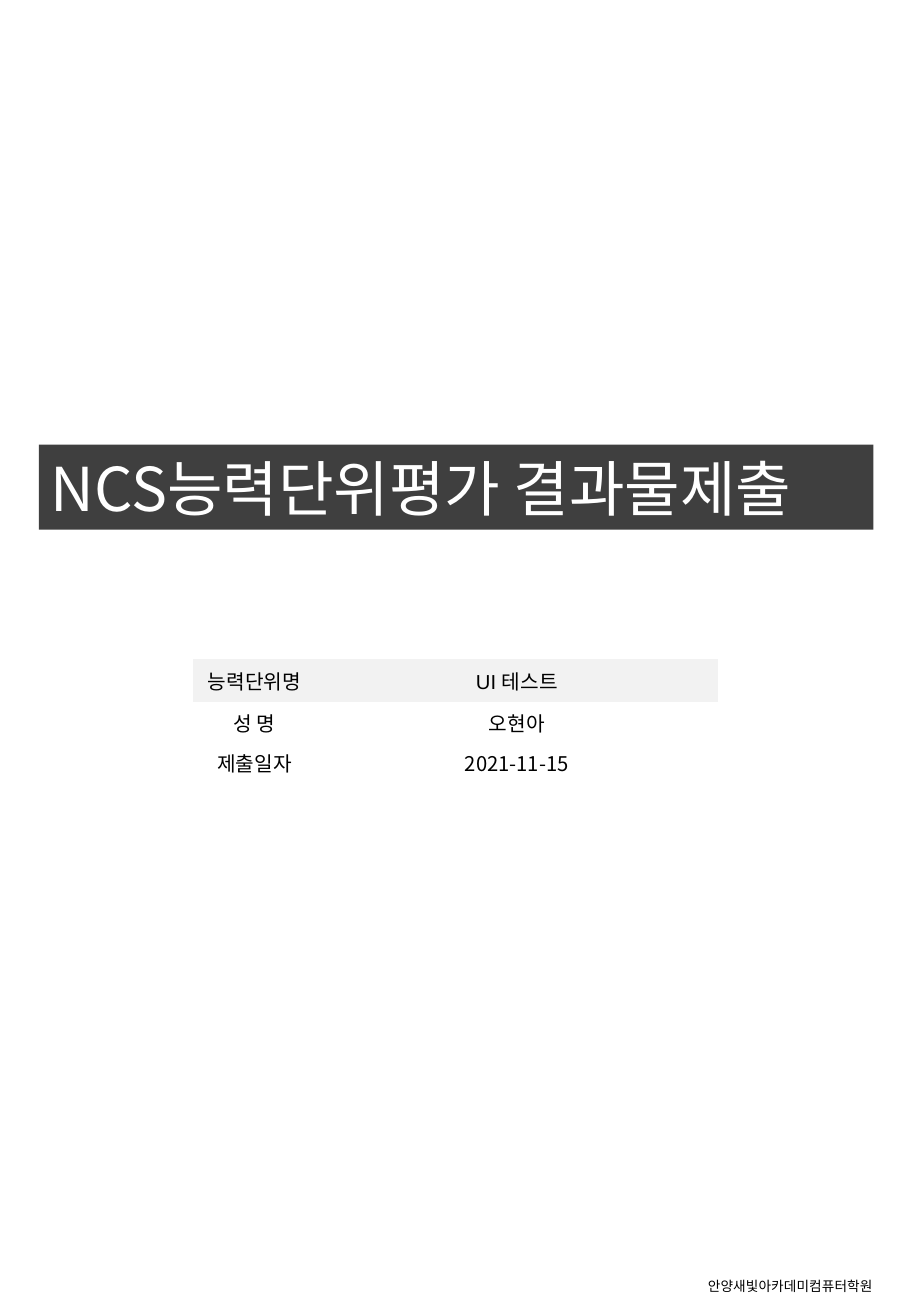
"""Build the cover page of an assessment submission."""
from lxml import etree
from pptx import Presentation
from pptx import util as u
from pptx.dml.color import RGBColor
from pptx.enum import shapes, text
from pptx.oxml.ns import qn

KOREAN = "Noto Sans CJK KR"
NO_STYLE = "{2D5ABB26-0587-4C30-8999-92F81FD0307C}"


def color(value):
    """Turn a hex string into a colour."""
    return RGBColor.from_string(value)


def write(frame, words, size, ink="000000", face=KOREAN, align=text.PP_ALIGN.LEFT):
    """Fill a text frame with one styled paragraph."""
    paragraph = frame.paragraphs[0]
    paragraph.text = words
    paragraph.alignment = align
    font = paragraph.font
    font.size = u.Pt(size)
    font.color.rgb = color(ink)
    font.name = face
    latin = paragraph._p.find(".//" + qn("a:latin"))
    east_asian = etree.Element(qn("a:ea"), typeface=KOREAN)
    latin.addnext(east_asian)


def add_title(slide, words):
    """Draw the dark title bar."""
    bar = slide.shapes.add_shape(
        shapes.MSO_SHAPE.RECTANGLE,
        u.Inches(0.32), u.Inches(3.66), u.Inches(6.87), u.Inches(0.7))
    bar.shadow.inherit = False
    bar.fill.solid()
    bar.fill.fore_color.rgb = color("3F3F3F")
    bar.line.fill.background()
    bar.text_frame.vertical_anchor = text.MSO_ANCHOR.MIDDLE
    write(bar.text_frame, words, 35.8, "FFFFFF")


def add_details(slide, rows):
    """Draw the borderless table of submission details."""
    table = slide.shapes.add_table(
        len(rows), 2,
        u.Inches(1.59), u.Inches(5.42), u.Inches(4.32), u.Inches(1.02)).table
    table.first_row = table.horz_banding = False
    table._tbl.tblPr.find(qn("a:tableStyleId")).text = NO_STYLE
    for column, width in zip(table.columns, (1.01, 3.31)):
        column.width = u.Inches(width)
    for row, (label, value) in enumerate(rows):
        table.rows[row].height = u.Inches(0.33 if row else 0.36)
        for cell, words in zip(table.rows[row].cells, (label, value)):
            cell.vertical_anchor = text.MSO_ANCHOR.MIDDLE
            cell.margin_left = cell.margin_right = u.Inches(0.08)
            cell.margin_top = cell.margin_bottom = u.Inches(0.04)
            if row:
                cell.fill.background()
            else:
                cell.fill.solid()
                cell.fill.fore_color.rgb = color("F2F2F2")
            write(cell.text_frame, words, 12, face=KOREAN if row else "Arial",
                  align=text.PP_ALIGN.CENTER)


def add_academy(slide, words):
    """Place the academy name at the foot of the page."""
    academy = slide.shapes.add_textbox(
        u.Inches(5.73), u.Inches(10.47), u.Inches(1.68), u.Inches(0.24))
    academy.text_frame.word_wrap = True
    write(academy.text_frame, words, 8.1)


def main():
    """Build and save the cover page."""
    deck = Presentation()
    deck.slide_width = u.Inches(7.5)
    deck.slide_height = u.Inches(10.83)
    cover = deck.slides.add_slide(deck.slide_layouts[6])
    add_academy(cover, "안양새빛아카데미컴퓨터학원")
    add_title(cover, "NCS능력단위평가 결과물제출")
    add_details(cover, [
        ("능력단위명", "UI 테스트"),
        ("성 명", "오현아"),
        ("제출일자", "2021-11-15"),
    ])
    deck.save("out.pptx")


if __name__ == "__main__":
    main()
